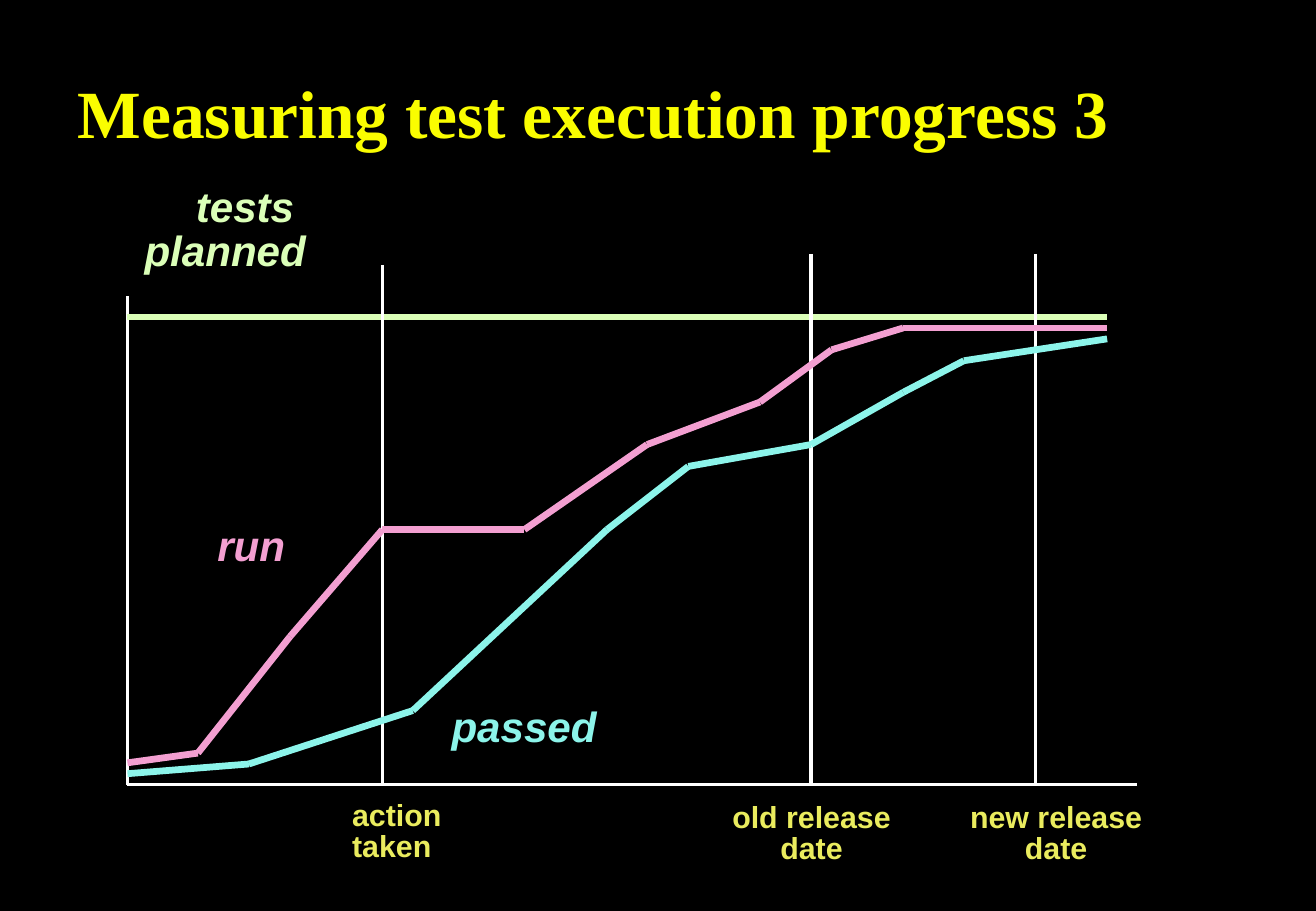
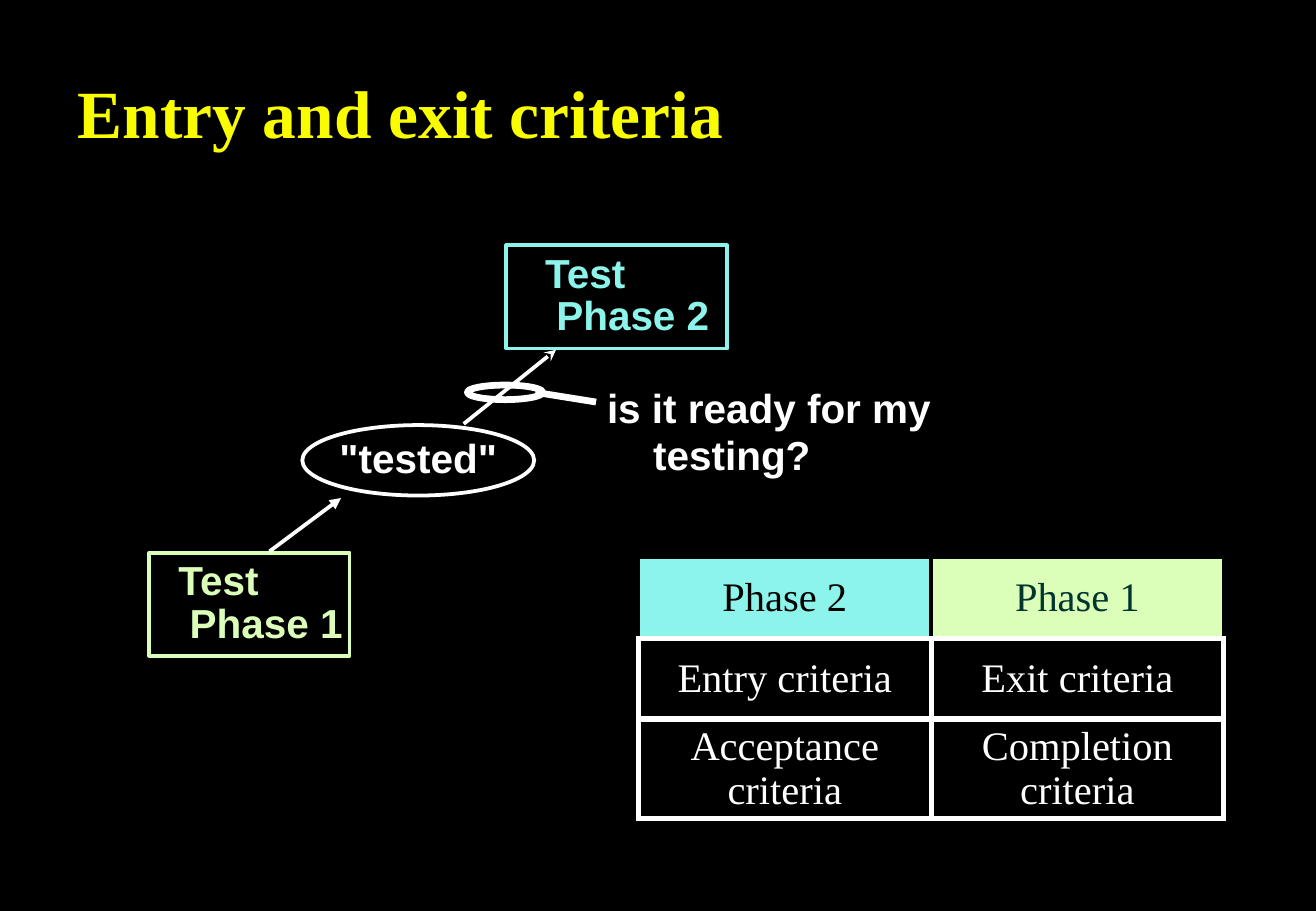
from dataclasses import dataclass
from itertools import pairwise

from lxml.etree import SubElement
from pptx import Presentation
from pptx.dml.color import RGBColor
from pptx.enum.shapes import MSO_CONNECTOR, MSO_SHAPE
from pptx.enum.text import MSO_ANCHOR, MSO_AUTO_SIZE, PP_ALIGN
from pptx.oxml import parse_xml
from pptx.oxml.ns import nsdecls, qn
from pptx.util import Inches, Pt


@dataclass(frozen=True)
class Theme:
    background: str = "000000"
    title: str = "FAFD00"
    white: str = "FFFFFF"
    green: str = "DBFFB8"
    pink: str = "F39FD1"
    cyan: str = "8CF4EA"
    yellow: str = "EAEC5E"
    dark_green: str = "003530"
    serif: str = "Times New Roman"
    sans: str = "Arial"
    title_size: float = 40
    curve_size: float = 25
    body_size: float = 24
    date_size: float = 18
    axis_width: float = 2
    outline_width: float = 2.25
    border_width: float = 3.5
    header_gap: float = 2.5
    curve_width: float = 4


THEME = Theme()


def rgb(color):
    return RGBColor.from_string(color)


def write(tf, text, *, size=THEME.body_size, color=THEME.white, font=THEME.sans,
          bold=True, italic=False, align=PP_ALIGN.LEFT, spacing=None,
          before=None, hanging=None):
    for i, line in enumerate(text.split("\n")):
        p = tf.paragraphs[0] if i == 0 else tf.add_paragraph()
        p.alignment = align
        if spacing:
            p.line_spacing = spacing
        if before:
            p.space_before = Pt(before)
        if hanging:
            pPr = p._p.get_or_add_pPr()
            pPr.set("marL", str(Inches(hanging)))
            pPr.set("indent", str(-Inches(hanging)))
        r = p.add_run()
        r.text = line
        r.font.name = font
        r.font.size = Pt(size)
        r.font.bold = bold
        r.font.italic = italic
        r.font.color.rgb = rgb(color)


def set_insets(tf, left, top, right, bottom):
    tf.margin_left, tf.margin_top = Inches(left), Inches(top)
    tf.margin_right, tf.margin_bottom = Inches(right), Inches(bottom)


class Deck:
    def __init__(self, theme):
        self.theme = theme
        self.prs = Presentation()
        self.prs.slide_width, self.prs.slide_height = Inches(10.84), Inches(7.5)
        fill = self.prs.slide_master.background.fill
        fill.solid()
        fill.fore_color.rgb = rgb(theme.background)
        self.s = None

    def slide(self, title):
        self.s = self.prs.slides.add_slide(self.prs.slide_layouts[5])
        sp = self.s.shapes.title
        sp.left, sp.top = Inches(0.54), Inches(0.58)
        sp.width, sp.height = Inches(9.21), Inches(0.67)
        tf = sp.text_frame
        tf.auto_size = MSO_AUTO_SIZE.NONE
        tf.vertical_anchor = MSO_ANCHOR.MIDDLE
        write(tf, title, size=self.theme.title_size, color=self.theme.title,
              font=self.theme.serif)

    def line(self, start, end, color, width, head=None):
        c = self.s.shapes.add_connector(
            MSO_CONNECTOR.STRAIGHT, *(Inches(v) for v in (*start, *end)))
        c.line.color.rgb = rgb(color)
        c.line.width = Pt(width)
        spPr = c._element.spPr
        if head:
            SubElement(spPr.find(qn("a:ln")), qn("a:tailEnd"), type=head)
        SubElement(spPr, qn("a:effectLst"))

    def curve(self, points, color):
        for start, end in pairwise(points):
            self.line(start, end, color, self.theme.curve_width)

    def label(self, text, x, y, w, h, wrap=False, **fmt):
        sp = self.s.shapes.add_textbox(Inches(x), Inches(y), Inches(w), Inches(h))
        tf = sp.text_frame
        tf.word_wrap = wrap
        tf.auto_size = MSO_AUTO_SIZE.SHAPE_TO_FIT_TEXT
        set_insets(tf, 0.07, 0.03, 0.07, 0.03)
        write(tf, text, **fmt)

    def outline(self, kind, x, y, w, h, color, width=THEME.outline_width,
                text=None, inset=0, **fmt):
        sp = self.s.shapes.add_shape(
            kind, Inches(x), Inches(y), Inches(w), Inches(h))
        sp.shadow.inherit = False
        sp.fill.background()
        sp.line.color.rgb = rgb(color)
        sp.line.width = Pt(width)
        if text:
            tf = sp.text_frame
            tf.word_wrap = True
            tf.vertical_anchor = MSO_ANCHOR.MIDDLE
            set_insets(tf, inset, 0, 0, 0)
            write(tf, text, color=color, spacing=0.87, **fmt)

    def border(self, cell, side, color, width):
        ln = parse_xml(
            f'<a:{side} {nsdecls("a")} w="{Pt(width)}"><a:solidFill>'
            f'<a:srgbClr val="{color}"/></a:solidFill></a:{side}>')
        cell._tc.get_or_add_tcPr().append(ln)

    def table(self, x, y, col_width, heights, rows, header):
        t = self.theme
        tbl = self.s.shapes.add_table(
            len(rows), len(header), Inches(x), Inches(y),
            Inches(col_width * len(header)), Inches(sum(heights))).table
        tbl.first_row = tbl.horz_banding = False
        for col in tbl.columns:
            col.width = Inches(col_width)
        for i, (height, texts) in enumerate(zip(heights, rows)):
            tbl.rows[i].height = Inches(height)
            for j, text in enumerate(texts):
                cell = tbl.cell(i, j)
                cell.vertical_anchor = MSO_ANCHOR.MIDDLE
                cell.margin_top = cell.margin_bottom = 0
                fill, color = header[j] if i == 0 else (t.background, t.white)
                for side in ("lnL", "lnR", "lnT", "lnB"):
                    if i == 0 and side != "lnB":
                        self.border(cell, side, t.background, t.header_gap)
                    else:
                        self.border(cell, side, t.white, t.border_width)
                cell.fill.solid()
                cell.fill.fore_color.rgb = rgb(fill)
                write(cell.text_frame, text, color=color, font=t.serif,
                      bold=False, align=PP_ALIGN.CENTER)


def progress_slide(deck):
    t = deck.theme
    deck.slide("Measuring test execution progress 3")
    left, base, right = 1.05, 6.46, 9.12
    deck.line((left, 2.44), (left, base), t.white, t.axis_width)
    deck.line((left, base), (9.37, base), t.white, t.axis_width)
    deck.curve([(left, 2.61), (right, 2.61)], t.green)
    for x, top in ((3.15, 2.18), (6.68, 2.09), (8.53, 2.09)):
        deck.line((x, top), (x, base), t.white, t.axis_width)
    deck.curve([(left, 6.28), (1.63, 6.2), (2.39, 5.24), (3.15, 4.36),
                (4.32, 4.36), (5.33, 3.66), (6.26, 3.31), (6.85, 2.88),
                (7.44, 2.7), (right, 2.7)], t.pink)
    deck.curve([(left, 6.37), (2.05, 6.29), (3.4, 5.85), (5, 4.36),
                (5.67, 3.84), (6.68, 3.66), (7.44, 3.23), (7.94, 2.97),
                (right, 2.79)], t.cyan)

    for text, box, color, align in (
            ("tests \nplanned", (1.12, 1.51, 1.47, 0.78), t.green, PP_ALIGN.RIGHT),
            ("run", (1.72, 4.3, 0.7, 0.42), t.pink, PP_ALIGN.LEFT),
            ("passed", (3.65, 5.79, 1.34, 0.42), t.cyan, PP_ALIGN.LEFT)):
        deck.label(text, *box, size=t.curve_size, color=color, italic=True,
                   align=align, spacing=0.87)
    for text, box, align in (
            ("action\ntaken", (2.83, 6.57, 0.88, 0.57), PP_ALIGN.LEFT),
            ("old release\ndate", (5.96, 6.59, 1.45, 0.57), PP_ALIGN.CENTER),
            ("new release\ndate", (7.92, 6.59, 1.56, 0.57), PP_ALIGN.CENTER)):
        deck.label(text, *box, size=t.date_size, color=t.yellow, align=align,
                   spacing=0.85)


def criteria_slide(deck):
    t = deck.theme
    deck.slide("Entry and exit criteria")
    deck.outline(MSO_SHAPE.RECTANGLE, 1.23, 4.55, 1.65, 0.85, t.green,
                 text="Test\n Phase 1", inset=0.24)
    deck.outline(MSO_SHAPE.RECTANGLE, 4.17, 2.02, 1.82, 0.85, t.cyan,
                 text="Test\n Phase 2", inset=0.32)
    deck.outline(MSO_SHAPE.OVAL, 2.49, 3.5, 1.91, 0.58, t.white,
                 text='"tested"', align=PP_ALIGN.CENTER)
    deck.line((2.22, 4.54), (2.81, 4.1), t.white, t.outline_width, "triangle")
    deck.line((3.82, 3.49), (4.58, 2.88), t.white, t.outline_width, "stealth")
    deck.outline(MSO_SHAPE.OVAL, 3.85, 3.17, 0.62, 0.12, t.white, t.curve_width)
    deck.label("is it ready for my testing?", 4.93, 3.15, 3.18, 0.82, wrap=True,
               spacing=0.96, before=14.4, hanging=0.38)
    deck.line((4.41, 3.23), (4.91, 3.31), t.white, t.curve_width)
    deck.table(5.26, 4.59, 2.41, (0.67, 0.66, 0.82),
               [("Phase 2", "Phase 1"),
                ("Entry criteria", "Exit criteria"),
                ("Acceptance criteria", "Completion criteria")],
               [(t.cyan, t.background), (t.green, t.dark_green)])


def main():
    deck = Deck(THEME)
    progress_slide(deck)
    criteria_slide(deck)
    deck.prs.save("out.pptx")


if __name__ == "__main__":
    main()
